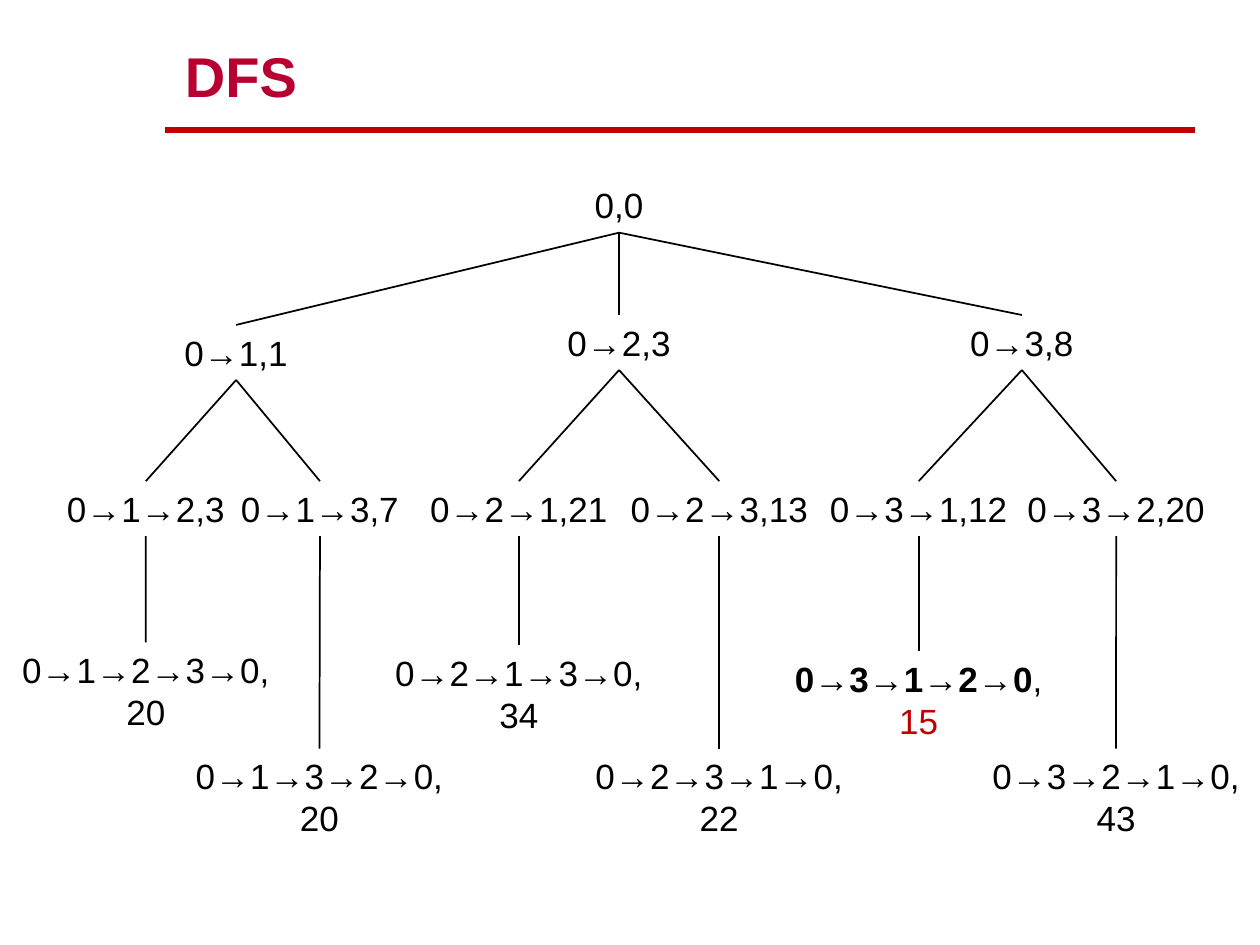
from lxml import etree
from pptx import Presentation
from pptx import util as u
from pptx.dml.color import RGBColor
from pptx.enum import shapes, text
from pptx.oxml import ns

BLACK = RGBColor(0x00, 0x00, 0x00)
RED = RGBColor(0xC0, 0x00, 0x00)
TITLE = RGBColor(0xB7, 0x00, 0x31)

# Box width and height for each depth of the tree, in cm
SIZES = [(2, 1.11), (3.33, 1.11), (4.72, 1.11), (5.87, 1.96)]


# Node: runs of (words, bold, colour), centre, top, children
def node(label, mid, top, *kids):
    runs = [(label, False, BLACK)] if isinstance(label, str) else label
    return runs, mid, top, kids


BEST = [("0→3→1→2→0", True, BLACK), (",", False, BLACK), ("15", False, RED)]
TREE = node(
    "0,0", 12.48, 3.58,
    node("0→1,1", 4.76, 6.55,
         node("0→1→2,3", 2.94, 9.7, node("0→1→2→3→0,20", 2.94, 12.95)),
         node("0→1→3,7", 6.45, 9.7, node("0→1→3→2→0,20", 6.44, 15.09))),
    node("0→2,3", 12.48, 6.35,
         node("0→2→1,21", 10.46, 9.7, node("0→2→1→3→0,34", 10.46, 13)),
         node("0→2→3,13", 14.5, 9.7, node("0→2→3→1→0,22", 14.5, 15.09))),
    node("0→3,8", 20.6, 6.35,
         node("0→3→1,12", 18.52, 9.7, node(BEST, 18.52, 13.13)),
         node("0→3→2,20", 22.5, 9.7, node("0→3→2→1→0,43", 22.5, 15.09))),
)


class Deck:
    font = "Arial"

    def __init__(self):
        self.prs = Presentation()
        self.prs.slide_width = u.Cm(25.4)
        self.prs.slide_height = u.Cm(19.05)
        self.slide = self.prs.slides.add_slide(self.prs.slide_layouts[6])

    def line(self, start, end, color=BLACK, width=1):
        ends = [u.Cm(v) for v in (*start, *end)]
        line = self.slide.shapes.add_connector(
            shapes.MSO_CONNECTOR.STRAIGHT, *ends)
        line.line.color.rgb = color
        line.line.width = u.Pt(width)
        etree.SubElement(line._element.spPr, ns.qn("a:effectLst"))
        return line

    def join(self, upper, lower):
        line = self.line((0, 0), (1, 1))
        line.begin_connect(upper, 2)
        line.end_connect(lower, 0)

    def box(self, runs, left, top, width, height, size=20,
            align=text.PP_ALIGN.CENTER):
        shape = self.slide.shapes.add_textbox(
            u.Cm(left), u.Cm(top), u.Cm(width), u.Cm(height))
        frame = shape.text_frame
        frame.word_wrap = True
        para = frame.paragraphs[0]
        para.alignment = align
        para.font.name = self.font
        para.font.size = u.Pt(size)
        for words, bold, color in runs:
            run = para.add_run()
            run.text = words
            run.font.bold = bold
            run.font.color.rgb = color
        return shape

    def title(self, words):
        shape = self.box([(words, True, TITLE)], 3.48, 0.62, 20.32, 1.7,
                         32, text.PP_ALIGN.LEFT)
        shape.text_frame.vertical_anchor = text.MSO_ANCHOR.BOTTOM

    def tree(self, item, depth=0):
        runs, mid, top, kids = item
        width, height = SIZES[depth]
        width = min(width, 2 * (25.4 - mid))  # stay on the slide
        shape = self.box(runs, mid - width / 2, top, width, height)
        shape.text_frame.auto_size = text.MSO_AUTO_SIZE.SHAPE_TO_FIT_TEXT
        for kid in kids:
            self.join(shape, self.tree(kid, depth + 1))
        return shape


def main():
    deck = Deck()

    # Header: rule and title
    deck.line((3.33, 2.62), (24.08, 2.62), RED, 3)
    deck.title("DFS")

    # Search tree
    deck.tree(TREE)

    deck.prs.save("out.pptx")


if __name__ == "__main__":
    main()
